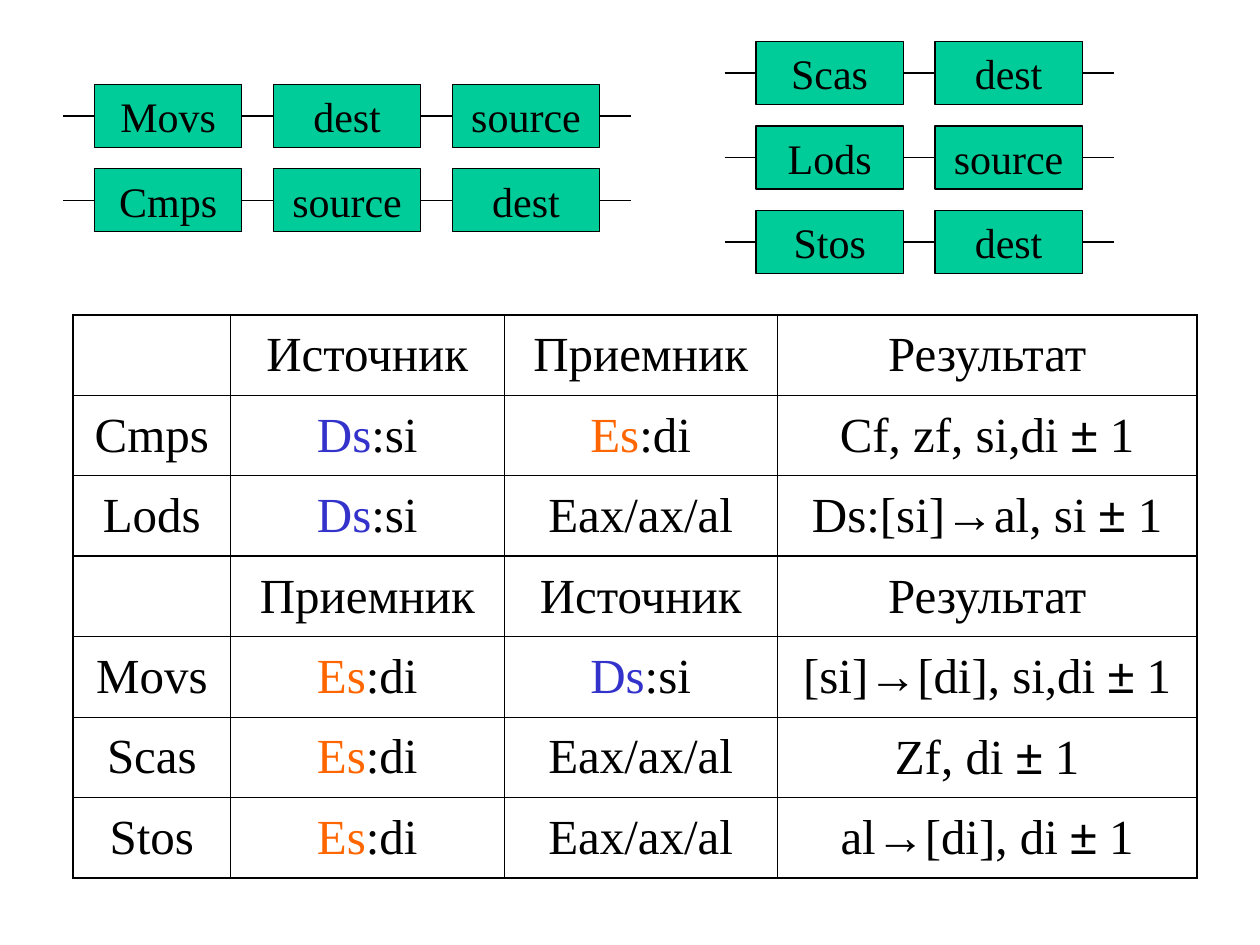
import pptx
import pptx.dml.color
import pptx.enum.shapes
import pptx.enum.text
import pptx.oxml.ns
import pptx.util
from lxml import etree

Inches = pptx.util.Inches
Pt = pptx.util.Pt
RGBColor = pptx.dml.color.RGBColor
qn = pptx.oxml.ns.qn

BLACK = RGBColor(0x00, 0x00, 0x00)
GREEN = RGBColor(0x00, 0xCC, 0x99)
BLUE = RGBColor(0x33, 0x33, 0xCC)
ORANGE = RGBColor(0xFF, 0x66, 0x00)

TEXT_FONT = "Times New Roman"
SYMBOL_FONT = "Arial"
RUN_COLORS = {"Ds": BLUE, "Es": ORANGE}
SYMBOLS = ("±", "→")

BOX_WIDTH = 1.17
BOX_HEIGHT = 0.5
WIRE_LENGTH = 0.25
CHAIN_PITCH = 0.67

LEFT_CHAINS = (("Movs", "dest", "source"), ("Cmps", "source", "dest"))
RIGHT_CHAINS = (("Scas", "dest"), ("Lods", "source"), ("Stos", "dest"))

SOURCE = ("Ds", ":si")
DESTINATION = ("Es", ":di")
ACCUMULATOR = ("Eax/ax/al",)
STEP = ("±", " 1")
TABLE_ROWS = (
    ((), ("Источник",), ("Приемник",), ("Результат",)),
    (("Cmps",), SOURCE, DESTINATION, ("Cf, zf, si,di ", *STEP)),
    (("Lods",), SOURCE, ACCUMULATOR, ("Ds:[si]", "→", "al, si ", *STEP)),
    ((), ("Приемник",), ("Источник",), ("Результат",)),
    (("Movs",), DESTINATION, SOURCE, ("[si]", "→", "[di], si,di ", *STEP)),
    (("Scas",), DESTINATION, ACCUMULATOR, ("Zf, di ", *STEP)),
    (("Stos",), DESTINATION, ACCUMULATOR, ("al", "→", "[di], di ", *STEP)),
)
COLUMN_WIDTHS = (1.25, 2.17, 2.17, 3.33)
TABLE_HEIGHT = 4.47
SECTION_STARTS = (0, 3, 7)
THIN = 0.45
THICK = 1.08


def add_runs(paragraph, texts, size):
    paragraph.alignment = pptx.enum.text.PP_ALIGN.CENTER
    for text in texts:
        run = paragraph.add_run()
        run.text = text
        run.font.name = SYMBOL_FONT if text in SYMBOLS else TEXT_FONT
        run.font.size = Pt(size)
        run.font.color.rgb = RUN_COLORS.get(text, BLACK)


def add_box(slide, left, top, text):
    shape = slide.shapes.add_shape(
        pptx.enum.shapes.MSO_SHAPE.RECTANGLE,
        Inches(left), Inches(top), Inches(BOX_WIDTH), Inches(BOX_HEIGHT),
    )
    shape.shadow.inherit = False
    shape.fill.solid()
    shape.fill.fore_color.rgb = GREEN
    shape.line.color.rgb = BLACK
    shape.line.width = Pt(0.75)
    shape.text_frame.word_wrap = False
    shape.text_frame.vertical_anchor = pptx.enum.text.MSO_ANCHOR.MIDDLE
    add_runs(shape.text_frame.paragraphs[0], (text,), 24)


def add_wire(slide, left, y):
    connector = slide.shapes.add_connector(
        pptx.enum.shapes.MSO_CONNECTOR.STRAIGHT,
        Inches(left), Inches(y), Inches(left + WIRE_LENGTH), Inches(y),
    )
    connector.line.color.rgb = BLACK
    connector.line.width = Pt(0.75)
    properties = connector._element.find(qn("p:spPr"))
    etree.SubElement(properties, qn("a:effectLst"))


def add_chains(slide, left, top, chains):
    for row, chain in enumerate(chains):
        box_top = top + row * CHAIN_PITCH
        wire_y = box_top + BOX_HEIGHT / 2
        x = left
        for text in chain:
            add_wire(slide, x, wire_y)
            add_box(slide, x + WIRE_LENGTH, box_top, text)
            x += WIRE_LENGTH + BOX_WIDTH
        add_wire(slide, x, wire_y)


def add_border(cell, side, width):
    properties = cell._tc.get_or_add_tcPr()
    line = etree.SubElement(properties, qn(f"a:ln{side}"), w=str(Pt(width)))
    fill = etree.SubElement(line, qn("a:solidFill"))
    etree.SubElement(fill, qn("a:srgbClr"), val=str(BLACK))


def format_cell(cell, row, column, texts):
    thick_sides = {
        "L": column == 0,
        "R": column == len(COLUMN_WIDTHS) - 1,
        "T": row in SECTION_STARTS,
        "B": row + 1 in SECTION_STARTS,
    }
    for side, is_thick in thick_sides.items():
        add_border(cell, side, THICK if is_thick else THIN)
    cell.fill.background()
    cell.vertical_anchor = pptx.enum.text.MSO_ANCHOR.MIDDLE
    add_runs(cell.text_frame.paragraphs[0], texts, 28)


def add_register_table(slide):
    table = slide.shapes.add_table(
        len(TABLE_ROWS), len(COLUMN_WIDTHS),
        Inches(0.58), Inches(2.5), Inches(sum(COLUMN_WIDTHS)), Inches(TABLE_HEIGHT),
    ).table
    table.first_row = False
    table.horz_banding = False
    for column, width in zip(table.columns, COLUMN_WIDTHS):
        column.width = Inches(width)
    for row, cells in enumerate(TABLE_ROWS):
        for column, texts in enumerate(cells):
            format_cell(table.cell(row, column), row, column, texts)


def main():
    presentation = pptx.Presentation()
    presentation.slide_width = Inches(10)
    presentation.slide_height = Inches(7.5)
    slide = presentation.slides.add_slide(presentation.slide_layouts[6])
    add_register_table(slide)
    add_chains(slide, 0.5, 0.67, LEFT_CHAINS)
    add_chains(slide, 5.75, 0.33, RIGHT_CHAINS)
    presentation.save("out.pptx")


if __name__ == "__main__":
    main()
